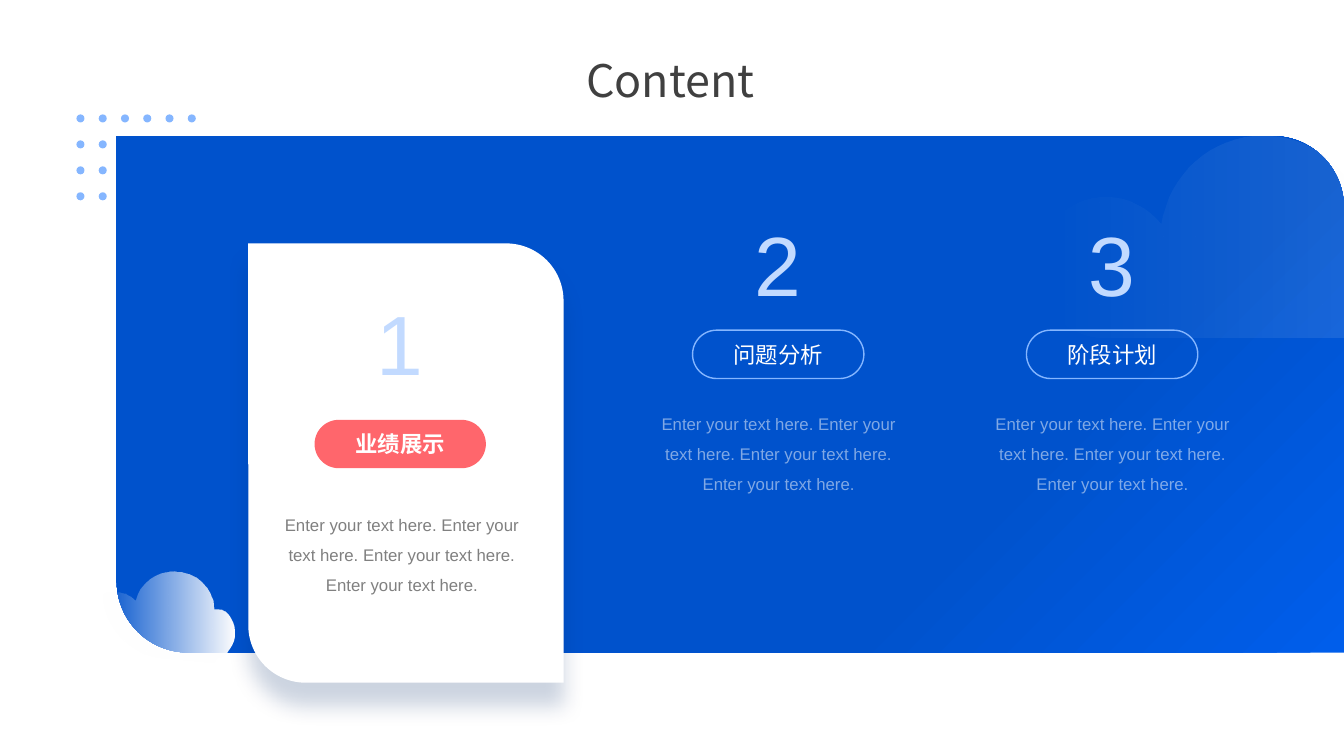
from lxml import etree
from pptx import Presentation
from pptx import util as u
from pptx.dml.color import RGBColor
from pptx.enum import shapes, text
from pptx.oxml.ns import qn

COLS, ROWS = 160, 90
CELL = u.Inches(1 / 12)
HUES = {"dot": "85B6FF", "blue": "0052CC", "glow": "005EEB", "pale": "C2DAFF",
        "white": "FFFFFF", "red": "FF666C", "gray": "808080", "ink": "404040",
        "shade": "002966"}
LATIN, HAN = "Arial", "Noto Sans CJK TC"

TITLE = "Content"
BODY = " ".join(["Enter your text here."] * 4)
PARTS = [
    {"num": "1", "name": "业绩展示", "mids": (47.65, 47.65, 47.85),
     "tops": (34.1, 49.98, 59.46), "fade": (0, 74), "hot": True},
    {"num": "2", "name": "问题分析", "mids": (92.6, 92.65, 92.7),
     "tops": (24.7, 39.3, 47.46), "fade": (56, 100), "hot": False},
    {"num": "3", "name": "阶段计划", "mids": (132.35, 132.4, 132.45),
     "tops": (24.7, 39.3, 47.46), "fade": (56, 100), "hot": False},
]
SIZES = [(8, 13.3), (20.4, 5.76), (31.1, 11.64)]
DOTS = {"left": 9.1, "top": 13.62, "dx": 2.65, "dy": 3.09, "size": 0.96}
BANNER = (13.9, 16.2, 146.1, 61.48)
CARD = (22.17, 36.36, 52.3, 37.54)
SKY = [
    [(162.6, 27.96)], [(162.24, 27.96)],
    [(162.24, 21.36), (156.96, 16.08), (150.24, 16.08)],
    [(144.12, 16.08), (139.08, 20.76), (138.24, 26.64)],
    [(136.68, 24.72), (134.28, 23.4), (131.64, 23.4)],
    [(127.08, 23.4), (123.36, 27.12), (123.36, 31.92)],
    [(123.36, 36.48), (127.08, 40.16), (131.64, 40.16)],
    [(162.6, 40.16)],
    [(166.08, 40.16), (168.72, 37.44), (168.72, 34.08)],
    [(168.72, 30.84), (166.08, 27.96), (162.6, 27.96)],
]
PUFF = [
    [(20.76, 68.04)],
    [(23.28, 68.04), (25.44, 69.96), (25.44, 72.48)],
    [(25.92, 72.48)],
    [(27.24, 72.48), (27.96, 74.28), (27.96, 75.36)],
    [(27.96, 76.32), (27, 78.24), (25.8, 78.24)],
    [(25.56, 78.36), (25.68, 78.48), (25.44, 78.84)],
    [(20.4, 78.36)],
    [(16.08, 78.36), (12.72, 75.12), (12.24, 71.04)],
    [(12.24, 70.8)], [(12.48, 70.68)],
    [(12.84, 70.56), (13.32, 70.44), (13.68, 70.44)],
    [(14.64, 70.44), (15.48, 70.8), (16.2, 71.52)],
    [(16.68, 69.48), (18.6, 68.04), (20.76, 68.04)],
]


def cells(*nums):
    return [round(n * CELL) for n in nums]


def rgb(key):
    return RGBColor.from_string(HUES[key])


def sub(node, tag, **attrs):
    return etree.SubElement(node, qn(tag), {k: str(v) for k, v in attrs.items()})


def tint(node, key, alpha=100):
    hue = sub(node, "a:srgbClr", val=HUES[key])
    if alpha < 100:
        sub(hue, "a:alpha", val=alpha * 1000)


def blend(fill, host, stops, round_=False):
    fill.gradient()
    grad = host.find(qn("a:gradFill"))
    for kid in list(grad):
        grad.remove(kid)
    steps = sub(grad, "a:gsLst")
    for pos, key, alpha in stops:
        tint(sub(steps, "a:gs", pos=pos * 1000), key, alpha)
    if round_:
        way = sub(grad, "a:path", path="circle")
        sub(way, "a:fillToRect", r=100000, b=100000)
    else:
        sub(grad, "a:lin", ang=0, scaled=0)


def plain(shape, fill=None, line=None):
    shape.shadow.inherit = False
    if fill:
        shape.fill.solid()
        shape.fill.fore_color.rgb = rgb(fill)
    else:
        shape.fill.background()
    if line:
        shape.line.color.rgb = rgb(line)
        shape.line.width = u.Pt(1)
    else:
        shape.line.fill.background()
    return shape


def write(shape, words, size, key, font=LATIN, bold=False, wrap=False):
    frame = shape.text_frame
    frame.word_wrap = wrap
    frame.auto_size = text.MSO_AUTO_SIZE.NONE
    para = frame.paragraphs[0]
    para.alignment = text.PP_ALIGN.CENTER
    run = para.add_run()
    run.text = words
    run.font.size = u.Pt(size)
    run.font.name = font
    run.font.bold = bold
    run.font.color.rgb = rgb(key)
    return para, run


def cloud(tree, segs, last):
    pen = tree.build_freeform(*cells(*segs[0][0]))
    pen.add_line_segments([cells(*seg[-1]) for seg in segs[1:]], close=True)
    shape = plain(pen.convert_to_shape())
    edges = list(shape._element.iter(qn("a:lnTo")))
    for seg, edge in zip(segs[1:], edges):
        if len(seg) == 3:
            curve = etree.Element(qn("a:cubicBezTo"))
            for spot in seg:
                x, y = cells(*spot)
                sub(curve, "a:pt", x=x - shape.left, y=y - shape.top)
            edge.getparent().replace(edge, curve)
    blend(shape.fill, shape._element.spPr, [(0, "white", 0), (100, "white", last)])


def part(tree, item):
    nbox, pbox, bbox = [cells(mid - wide / 2, top, wide, high) for mid, top, (wide, high)
                        in zip(item["mids"], item["tops"], SIZES)]
    hot = item["hot"]
    num = tree.add_textbox(*nbox)
    run = write(num, item["num"], 60, "pale")[1]
    low, high = item["fade"]
    blend(run.font.fill, run._r.rPr, [(low, "pale", 100), (high, "blue", 100)], True)

    pill = tree.add_shape(shapes.MSO_SHAPE.ROUNDED_RECTANGLE, *pbox)
    pill.adjustments[0] = 0.5
    plain(pill, "red" if hot else None, None if hot else "dot")
    run = write(pill, item["name"], 16, "white", bold=hot)[1]
    sub(run._r.rPr, "a:ea", typeface=HAN)

    body = tree.add_textbox(*bbox)
    para, run = write(body, BODY, 12, "gray" if hot else "white", wrap=True)
    para.line_spacing = 1.5
    if not hot:
        sub(run._r.rPr.find(".//" + qn("a:srgbClr")), "a:alpha", val=50000)


def main():
    deck = Presentation()
    deck.slide_width, deck.slide_height = cells(COLS, ROWS)
    slide = deck.slides.add_slide(deck.slide_layouts[5])
    tree = slide.shapes

    title = tree.title
    title.left, title.top, title.width, title.height = cells(68.3, 5.68, 23, 7.68)
    title.text_frame.vertical_anchor = text.MSO_ANCHOR.MIDDLE
    write(title, TITLE, 32, "ink", HAN)

    group = tree.add_group_shape()
    for col in range(6):
        for row in range(4):
            spot = cells(DOTS["left"] + col * DOTS["dx"], DOTS["top"] + row * DOTS["dy"],
                         DOTS["size"], DOTS["size"])
            plain(group.shapes.add_shape(shapes.MSO_SHAPE.OVAL, *spot), "dot")

    banner = plain(tree.add_shape(shapes.MSO_SHAPE.ROUND_2_DIAG_RECTANGLE, *cells(*BANNER)))
    banner.adjustments[0] = 0.138
    banner._element.spPr.xfrm.set("flipH", "1")
    blend(banner.fill, banner._element.spPr,
          [(71, "blue", 100), (100, "glow", 100)], True)
    cloud(tree, SKY, 13)

    card = plain(tree.add_shape(shapes.MSO_SHAPE.ROUND_2_DIAG_RECTANGLE, *cells(*CARD)), "white")
    card.adjustments[0] = 0.182
    card.rotation = 90
    glow = card._element.spPr.find(qn("a:effectLst"))
    drop = sub(glow, "a:outerShdw", blurRad=u.Pt(15), dist=u.Pt(16), dir=5400000,
               rotWithShape=0)
    tint(drop, "shade", 20)

    for item in PARTS:
        part(tree, item)
    cloud(tree, PUFF, 100)
    deck.save("out.pptx")


if __name__ == "__main__":
    main()
